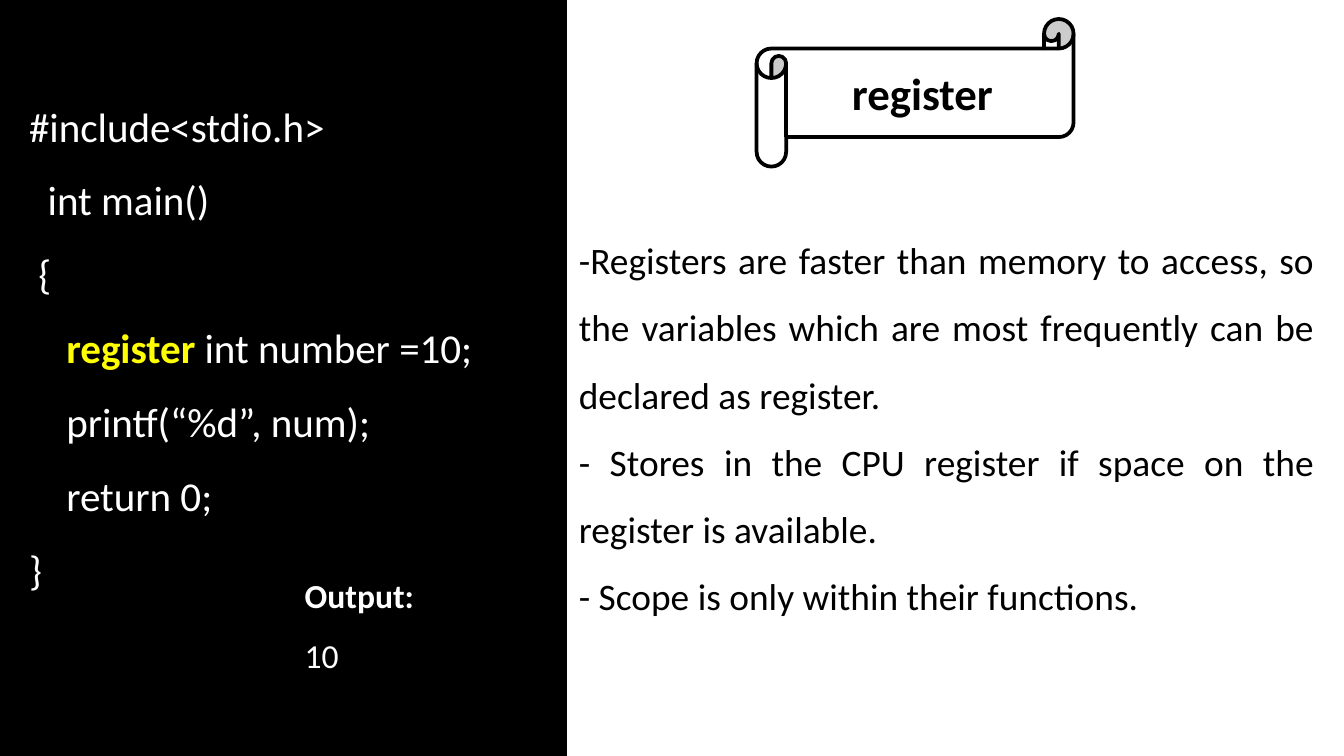
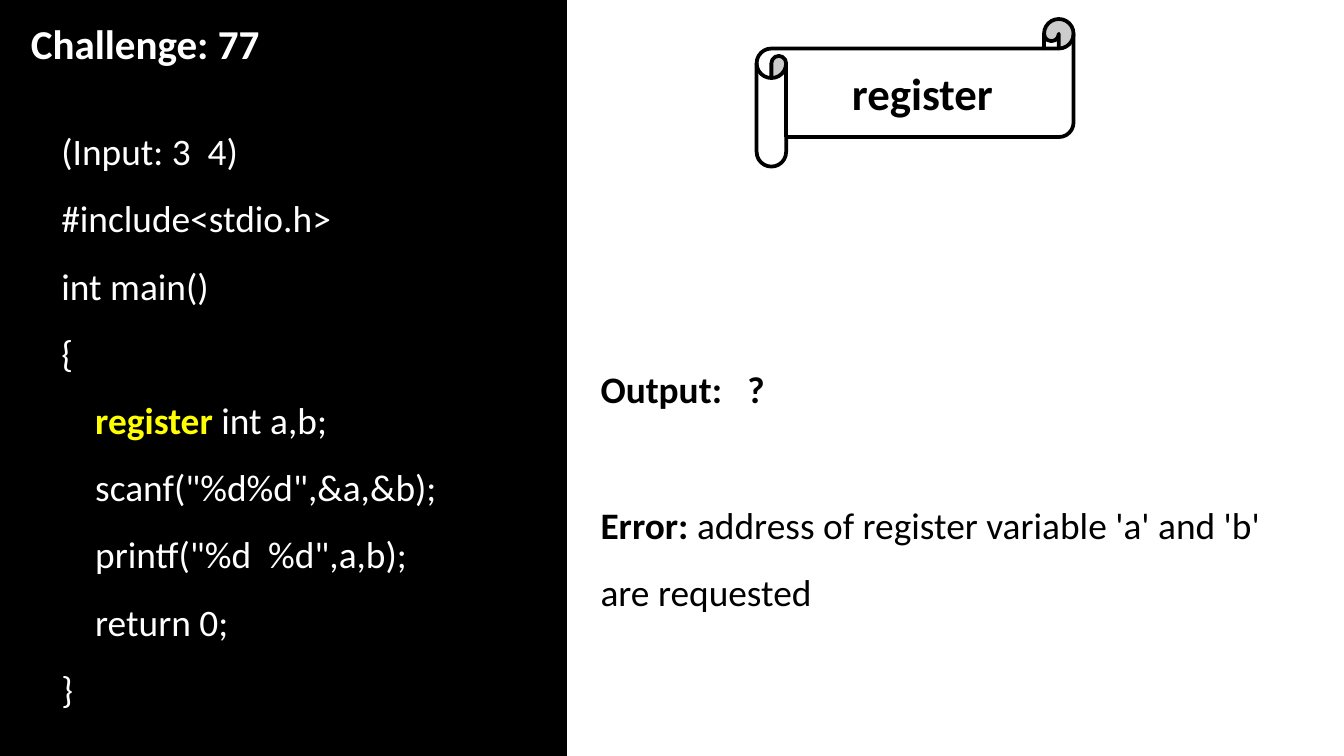
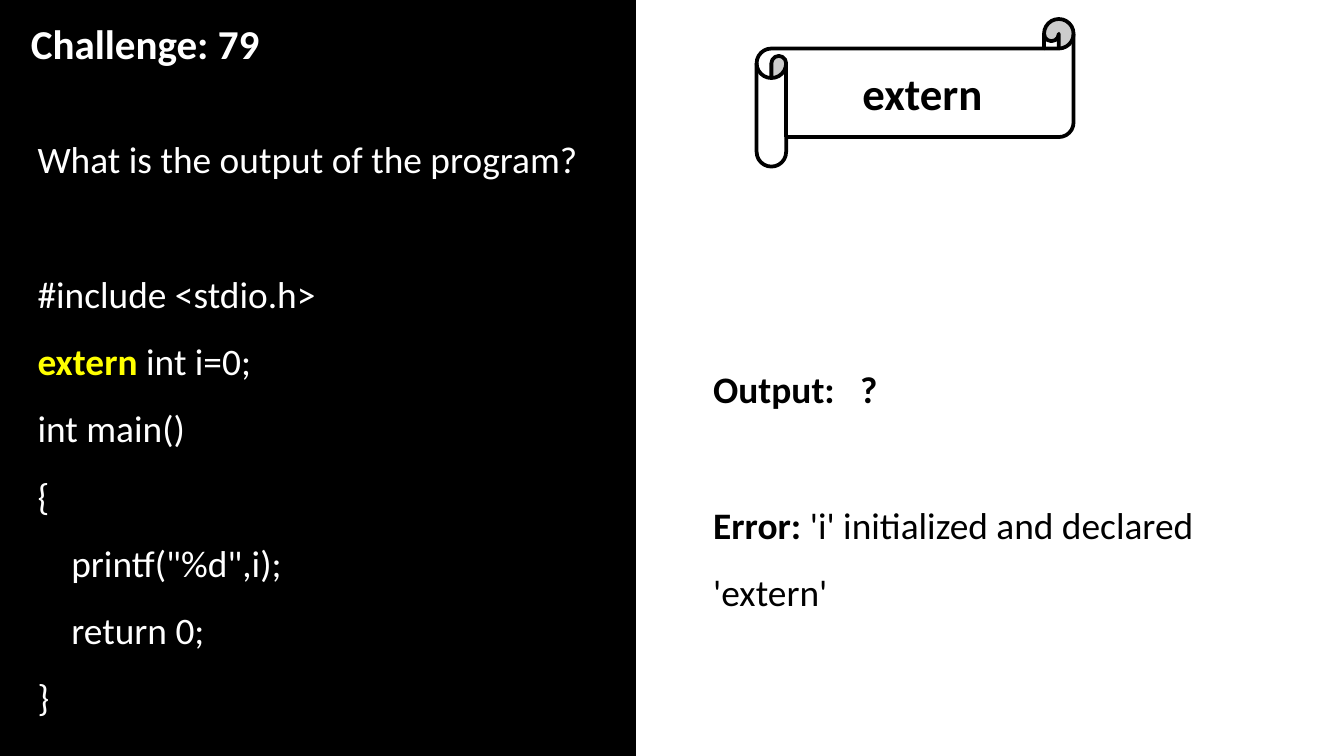
from dataclasses import dataclass

from pptx import Presentation
from pptx.dml.color import RGBColor
from pptx.enum.shapes import MSO_SHAPE
from pptx.enum.text import MSO_ANCHOR, MSO_AUTO_SIZE, PP_ALIGN
from pptx.util import Cm, Pt

RECTANGLE = MSO_SHAPE.RECTANGLE
SCROLL = MSO_SHAPE.HORIZONTAL_SCROLL
TOP, MIDDLE = MSO_ANCHOR.TOP, MSO_ANCHOR.MIDDLE
LEFT, CENTER, JUSTIFY = PP_ALIGN.LEFT, PP_ALIGN.CENTER, PP_ALIGN.JUSTIFY
GROW = MSO_AUTO_SIZE.SHAPE_TO_FIT_TEXT

COLORS = {"black": "000000", "white": "FFFFFF", "keyword": "FFFF00"}
FONT = "Calibri"
SLIDE_WIDTH, SLIDE_HEIGHT = 25.4, 14.29
TITLE_ONLY, BLANK = 5, 6
SPACE_WIDTH = 0.008  # cm per point of text size
LINE_SPACING = 1.5

# Places in cm: left, top, width, height
SCROLL_BOX = (14.3, 0.36, 5.99, 2.79)
TITLE_BOX = (0.33, 0.23, 4.83, 1.19)


@dataclass
class Line:
    plain: str = ""
    strong: str = ""  # bold words before the plain ones
    indent: int = 0  # in widths of a space
    gap: float = 0  # points below


@dataclass
class Block:
    box: tuple
    lines: list
    size: int = 20
    color: str = "black"
    strong_color: str = "black"
    align: PP_ALIGN = LEFT


def code(box, lines, size=20):
    return Block(box, lines, size, "white", "keyword")


def answer(left, output_width, error_width, error):
    return [
        Block((left, 8.94, error_width, 2.82), [Line(error, "Error: ")]),
        Block((left, 6.38, output_width, 1.52), [Line(strong="Output:   ?")]),
    ]


# Content
SLIDES = [
    {
        "topic": "register",
        "panel_width": 10.69,
        "blocks": [
            code((0.3, 1.32, 10.08, 10.13), [
                Line("#include<stdio.h>"),
                Line("int main()", indent=2),
                Line("{", indent=1),
                Line(" int number =10;", "register", 4),
                Line("printf(“%d”, num);", indent=4),
                Line("return 0;", indent=4),
                Line("}"),
            ], 22),
            Block((10.69, 3.94, 14.4, 7.95), [
                Line("-Registers are faster than memory to access, so the variables "
                     "which are most frequently can be declared as register."),
                Line("- Stores in the CPU register if space on the register is available."),
                Line("- Scope is only within their functions."),
            ], align=JUSTIFY),
            Block((5.51, 10.36, 3.81, 2.57), [Line(strong="Output:"), Line("10")],
                  18, "white", "white"),
        ],
    },
    {
        "title": "Challenge: 77",
        "topic": "register",
        "panel_width": 10.69,
        "blocks": [
            code((0.91, 1.88, 8.86, 11.79), [
                Line("(Input: 3  4)"),
                Line("#include<stdio.h>"),
                Line("int main()"),
                Line("{"),
                Line(" int a,b;", "register", 4),
                Line('scanf("%d%d",&a,&b);', indent=4),
                Line('printf("%d  %d",a,b);', indent=4),
                Line("return 0;", indent=4),
                Line("}"),
            ]),
            *answer(11.1, 12.85, 13.72,
                    "address of register variable 'a' and 'b' are requested"),
        ],
    },
    {
        "title": "Challenge: 79",
        "topic": "extern",
        "panel_width": 11.99,
        "blocks": [
            code((0.46, 2.03, 11.07, 11.79), [
                Line("What is the output of the program?", gap=36.3),
                Line("#include <stdio.h>"),
                Line("int i=0;", "extern "),
                Line("int main()"),
                Line("{"),
                Line('printf("%d",i);', indent=4),
                Line("return 0;", indent=4),
                Line("}"),
            ]),
            *answer(13.23, 10.19, 10.87, "'i' initialized and declared 'extern'"),
        ],
    },
]


def rgb(name):
    return RGBColor.from_string(COLORS[name])


def lengths(box):
    return [Cm(value) for value in box]


def set_font(font, size, color, bold=False):
    font.name, font.size, font.bold = FONT, Pt(size), bold
    font.color.rgb = rgb(color)


def add_outlined(slide, kind, box, fill):
    shape = slide.shapes.add_shape(kind, *lengths(box))
    shape.shadow.inherit = False
    shape.fill.solid()
    shape.fill.fore_color.rgb = rgb(fill)
    shape.line.color.rgb = rgb("black")
    shape.line.width = Pt(2)
    return shape


def add_topic(slide, topic):
    scroll = add_outlined(slide, SCROLL, SCROLL_BOX, "white")
    scroll.adjustments[0] = 0.2
    scroll.text_frame.vertical_anchor = MIDDLE
    paragraph = scroll.text_frame.paragraphs[0]
    paragraph.text = topic
    paragraph.alignment = CENTER
    set_font(paragraph.font, 24, "black", True)


def place_title(slide, text):
    title = slide.shapes.title
    title.left, title.top, title.width, title.height = lengths(TITLE_BOX)
    # The placeholder comes first; bring it in front of the panel
    title.element.getparent().append(title.element)
    frame = title.text_frame
    frame.word_wrap, frame.auto_size, frame.vertical_anchor = False, GROW, TOP
    paragraph = frame.paragraphs[0]
    paragraph.text = text
    paragraph.alignment = LEFT
    set_font(paragraph.font, 22, "white", True)


def add_block(slide, block):
    frame = slide.shapes.add_textbox(*lengths(block.box)).text_frame
    frame.word_wrap, frame.auto_size = True, GROW
    for index, line in enumerate(block.lines):
        paragraph = frame.add_paragraph() if index else frame.paragraphs[0]
        paragraph.alignment = block.align
        paragraph.line_spacing = LINE_SPACING
        if line.gap:
            paragraph.space_after = Pt(line.gap)
        if line.indent:
            margin = Cm(line.indent * block.size * SPACE_WIDTH)
            paragraph._p.get_or_add_pPr().set("marL", str(margin))
        set_font(paragraph.font, block.size, block.color)
        if line.strong:
            run = paragraph.add_run()
            run.text = line.strong
            set_font(run.font, block.size, block.strong_color, True)
        if line.plain:
            paragraph.add_run().text = line.plain


def main():
    presentation = Presentation()
    presentation.slide_width = Cm(SLIDE_WIDTH)
    presentation.slide_height = Cm(SLIDE_HEIGHT)
    for content in SLIDES:
        layout = TITLE_ONLY if "title" in content else BLANK
        slide = presentation.slides.add_slide(presentation.slide_layouts[layout])
        add_outlined(slide, RECTANGLE, (0, 0, content["panel_width"], SLIDE_HEIGHT), "black")
        add_topic(slide, content["topic"])
        for block in content["blocks"]:
            add_block(slide, block)
        if "title" in content:
            place_title(slide, content["title"])
    presentation.save("out.pptx")


if __name__ == "__main__":
    main()
